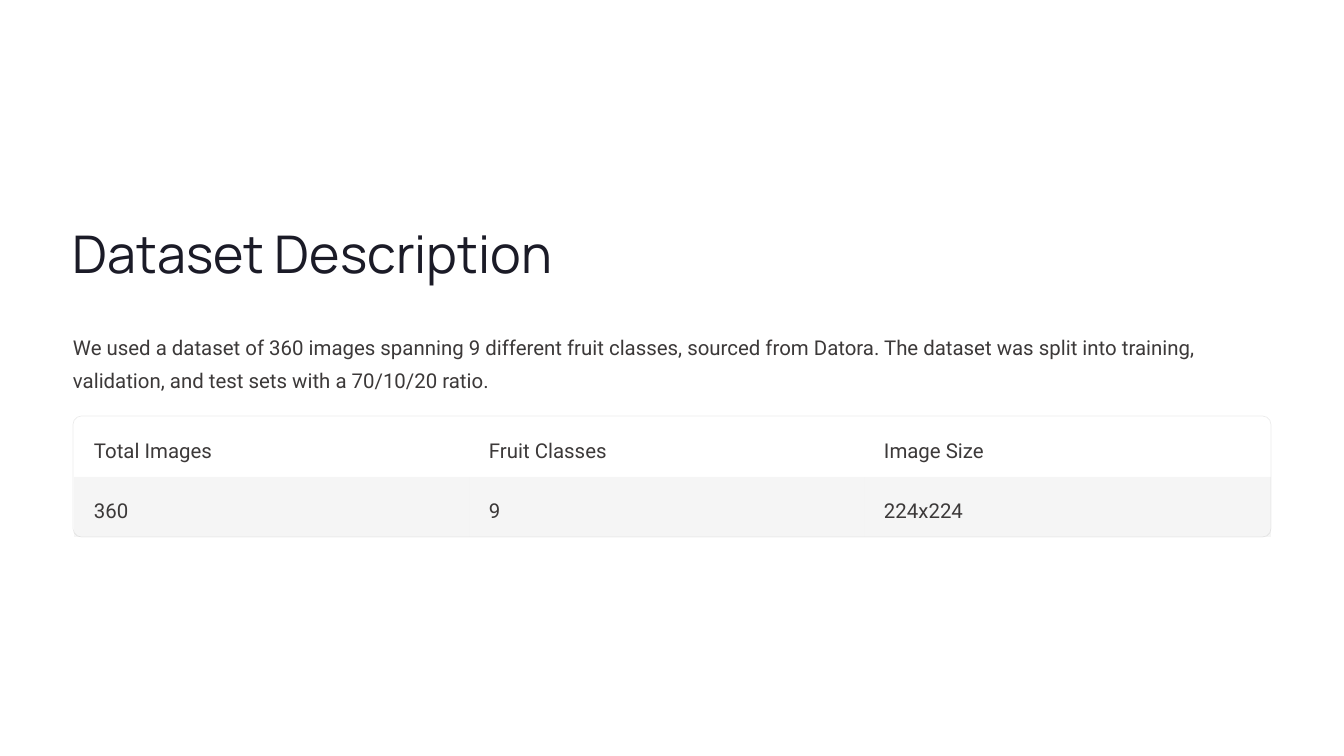
from lxml.etree import SubElement
from pptx import Presentation
from pptx.dml.color import RGBColor
from pptx.enum.shapes import MSO_SHAPE
from pptx.enum.text import MSO_ANCHOR, MSO_AUTO_SIZE, PP_ALIGN
from pptx.oxml.ns import qn
from pptx.util import Emu, Pt

EMU_PER_PX = 914400 / 84
NO_STYLE = "{2D5ABB26-0587-4C30-8999-92F81FD0307C}"


def px(length):
    return Emu(round(length * EMU_PER_PX))


def color(hex_code):
    return RGBColor.from_string(hex_code)


def fade(element, percent):
    for tint in element.iter(qn("a:srgbClr")):
        SubElement(tint, qn("a:alpha"), val=str(percent * 1000))


def write(frame, text, font="Roboto", size=17.5, ink="3C3939", leading=28.5):
    frame.text = text
    paragraph = frame.paragraphs[0]
    properties = paragraph._p.get_or_add_pPr()
    properties.set("marL", "0")
    properties.set("indent", "0")
    SubElement(properties, qn("a:buNone"))
    paragraph.alignment = PP_ALIGN.LEFT
    paragraph.space_before = Pt(0)
    paragraph.line_spacing = Pt(leading)
    run_font = paragraph.runs[0].font
    run_font.name = font
    run_font.size = Pt(size)
    run_font.color.rgb = color(ink)


class Deck:
    """Holds the presentation, its current slide and the shared style."""

    def __init__(self, width, height):
        self.presentation = Presentation()
        self.presentation.slide_width = px(width)
        self.presentation.slide_height = px(height)
        layout = self.presentation.slide_layouts[1]
        self.slide = self.presentation.slides.add_slide(layout)

    def placeholder(self, index, text, left, top, width, height, **style):
        holder = self.slide.placeholders[index]
        holder.left, holder.top = px(left), px(top)
        holder.width, holder.height = px(width), px(height)
        frame = holder.text_frame
        frame.margin_left = frame.margin_right = 0
        frame.margin_top = frame.margin_bottom = 0
        frame.word_wrap = True
        frame.auto_size = MSO_AUTO_SIZE.NONE
        frame.vertical_anchor = MSO_ANCHOR.TOP
        write(frame, text, **style)

    def outline(self, left, top, width, height):
        border = self.slide.shapes.add_shape(
            MSO_SHAPE.ROUNDED_RECTANGLE, px(left), px(top), px(width), px(height))
        border.shadow.inherit = False
        border.adjustments[0] = 0.07
        border.fill.background()
        border.line.color.rgb = color("000000")
        border.line.width = Pt(0.6)
        fade(border._element.spPr, 8)

    def table(self, rows, left, top, column_widths, row_height):
        frame = self.slide.shapes.add_table(
            len(rows), len(column_widths), px(left), px(top),
            px(sum(column_widths)), px(row_height * len(rows)))
        table = frame.table
        table._tbl.tblPr.find(qn("a:tableStyleId")).text = NO_STYLE
        table.first_row = table.horz_banding = False
        for column, width in zip(table.columns, column_widths):
            column.width = px(width)
        for row, texts, band in zip(table.rows, rows, ("FFFFFF", "000000")):
            row.height = px(row_height)
            for cell, text in zip(row.cells, texts):
                cell.margin_left = cell.margin_right = px(20)
                cell.margin_top, cell.margin_bottom = px(13), 0
                cell.vertical_anchor = MSO_ANCHOR.TOP
                cell.fill.solid()
                cell.fill.fore_color.rgb = color(band)
                fade(cell._tc.tcPr, 4)
                write(cell.text_frame, text)


def main():
    deck = Deck(1344, 756)
    deck.placeholder(0, "Dataset Description", 73, 219, 521, 66,
                     font="Manrope", size=44.5, ink="1B1B27", leading=55.5)
    deck.placeholder(
        1,
        "We used a dataset of 360 images spanning 9 different fruit classes, "
        "sourced from Datora. The dataset was split into training, validation, "
        "and test sets with a 70/10/20 ratio.",
        73, 326, 1198, 66)
    deck.outline(73, 416, 1198, 121)
    deck.table([("Total Images", "Fruit Classes", "Image Size"),
                ("360", "9", "224x224")],
               74, 417, (395, 395, 407), 60)
    deck.presentation.save("out.pptx")


if __name__ == "__main__":
    main()
